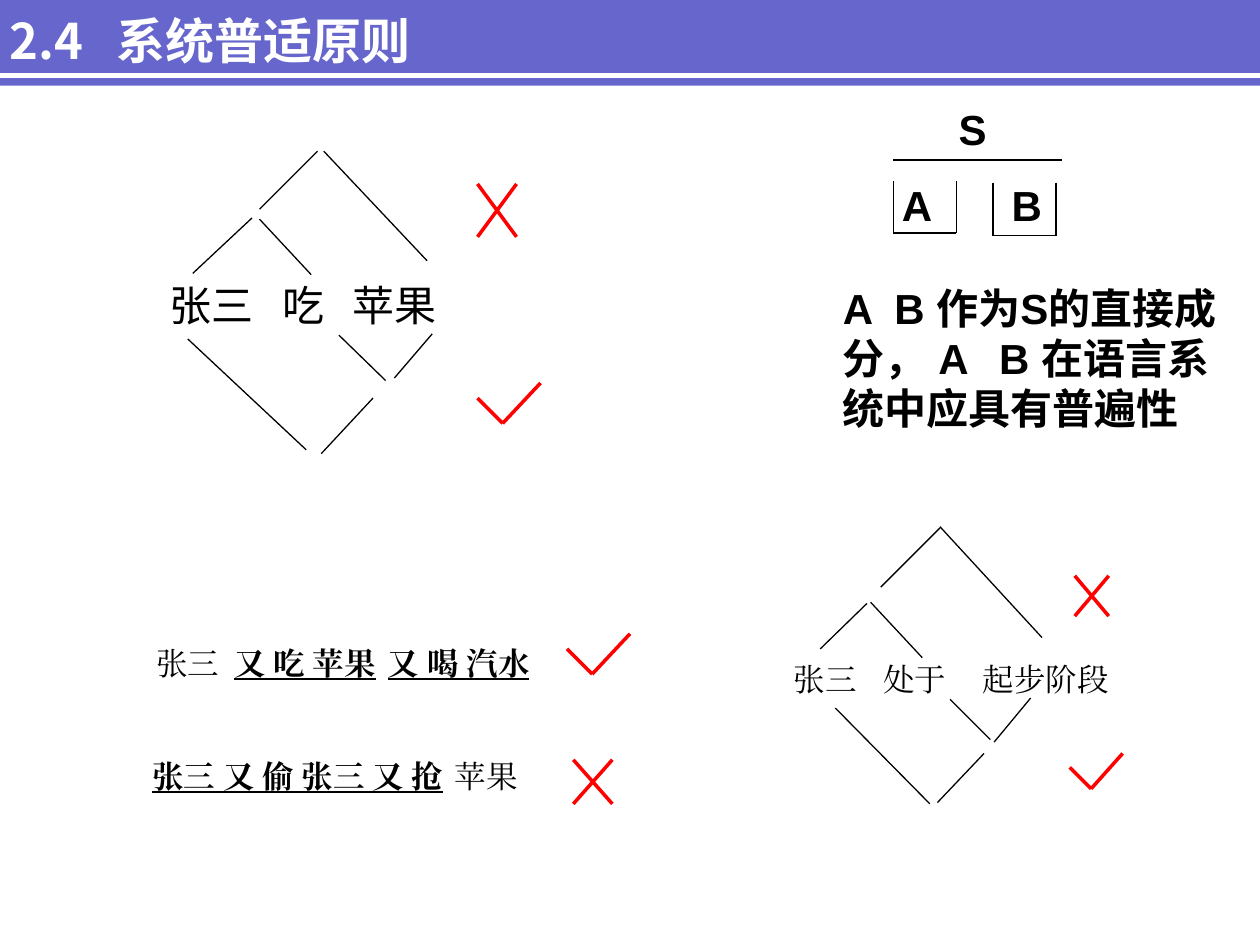
from lxml.etree import SubElement
from pptx import Presentation
from pptx.dml.color import RGBColor
from pptx.enum.shapes import MSO_CONNECTOR, MSO_SHAPE
from pptx.enum.text import MSO_ANCHOR, PP_ALIGN
from pptx.oxml.ns import qn
from pptx.util import Inches, Pt

PURPLE = RGBColor(0x66, 0x66, 0xCC)
WHITE = RGBColor(0xFF, 0xFF, 0xFF)
BLACK = RGBColor(0, 0, 0)
RED = RGBColor(0xFF, 0, 0)
SANS, SERIF, CJK = "Arial", "Times New Roman", "Noto Sans CJK SC"

EATING_TREE = [
    (1.53, 2.17, 2, 1.73), (2.06, 1.74, 2.47, 2.18),
    (2.06, 1.66, 2.52, 1.2), (2.57, 1.2, 3.39, 2.07),
    (3.13, 3, 3.43, 2.65), (1.49, 2.69, 2.43, 3.57),
    (2.55, 3.6, 2.96, 3.16), (2.69, 2.66, 3.06, 3.02),
]
STAGE_TREE = [
    (6.51, 5.15, 6.88, 4.79), (6.91, 4.78, 7.32, 5.22),
    (6.99, 4.66, 7.46, 4.19), (7.46, 4.18, 8.27, 5.06),
    (7.89, 5.89, 8.18, 5.54), (6.63, 5.62, 7.38, 6.38),
    (7.44, 6.37, 7.81, 5.98), (7.54, 5.55, 7.86, 5.87),
]


class Board:
    """Holds the style and the slide being filled."""

    def __init__(self, slide):
        self.s = slide

    def band(self, x, y, w, h):
        sp = self.s.shapes.add_shape(
            MSO_SHAPE.RECTANGLE, Inches(x), Inches(y), Inches(w), Inches(h))
        sp.shadow.inherit = False
        sp.fill.solid()
        sp.fill.fore_color.rgb = PURPLE
        sp.line.fill.background()

    def line(self, x1, y1, x2, y2, color=BLACK, width=0.75, shapes=None):
        shapes = self.s.shapes if shapes is None else shapes
        cn = shapes.add_connector(MSO_CONNECTOR.STRAIGHT, Inches(x1), Inches(y1),
                                  Inches(x2), Inches(y2))
        cn.line.color.rgb = color
        cn.line.width = Pt(width)
        SubElement(cn._element.spPr, qn("a:effectLst"))

    def group(self, lines, color, width):
        shapes = self.s.shapes.add_group_shape().shapes
        for ends in lines:
            self.line(*ends, color, width, shapes)

    def tree(self, branches):
        for ends in branches:
            self.line(*ends)

    def bracket(self, x, y, w, h):
        """Draw a box that is open at the top."""
        r, b = x + w, y + h
        self.group([(x, y, x, b), (x, b, r, b), (r, y, r, b)], BLACK, 0.75)

    def cross(self, x, y, w, h):
        r, b = x + w, y + h
        self.group([(x, y, r, b), (r, y, x, b)], RED, 2)

    def tick(self, x, y, dip=0.2, rise_w=0.3, rise_h=0.32):
        foot_x, foot_y = x + dip, y + dip
        self.group([(x, y, foot_x, foot_y),
                    (foot_x + rise_w, foot_y - rise_h, foot_x, foot_y)], RED, 2)

    def text(self, x, y, w, h, paragraphs, size, font, color=BLACK, stops=(),
             stop_align="l"):
        """Each paragraph is a list of (text, bold, underline) runs."""
        tf = self.s.shapes.add_textbox(
            Inches(x), Inches(y), Inches(w), Inches(h)).text_frame
        tf.word_wrap = True
        for i, runs in enumerate(paragraphs):
            p = tf.add_paragraph() if i else tf.paragraphs[0]
            if stops:
                tabs = SubElement(p._p.get_or_add_pPr(), qn("a:tabLst"))
                for stop in stops:
                    SubElement(tabs, qn("a:tab"), pos=str(Inches(stop)), algn=stop_align)
            if i:
                p.space_before = Pt(15)
            for words, bold, underline in runs:
                r = p.add_run()
                r.text = words
                r.font.size = Pt(size)
                r.font.bold = bold
                r.font.underline = underline
                r.font.color.rgb = color
                r.font.name = font
                SubElement(r._r.get_or_add_rPr(), qn("a:ea"), typeface=font)
        return tf


def main():
    prs = Presentation()
    prs.slide_width, prs.slide_height = Inches(10), Inches(7.5)
    board = Board(prs.slides.add_slide(prs.slide_layouts[6]))

    board.band(-0.04, -0.03, 10.04, 0.71)
    board.line(-0.04, 0.6, 10, 0.6, WHITE, 3)
    title = board.text(-0.02, 0.03, 8.57, 0.57, [[("2.4\t系统普适原则", True, False)]],
                       28, CJK, WHITE, stops=(0.85,))
    title.vertical_anchor = MSO_ANCHOR.MIDDLE

    rule = board.text(6.26, 0.77, 2.92, 1.11,
                      [[("S", True, False)], [("\tA\tB", True, False)]],
                      24, SANS, stops=(0.92, 1.79), stop_align="ctr")
    rule.paragraphs[0].alignment = PP_ALIGN.CENTER
    board.line(7.09, 1.27, 8.43, 1.27)
    board.bracket(7.09, 1.44, 0.5, 0.41)
    board.bracket(7.88, 1.45, 0.5, 0.42)
    board.text(6.59, 2.19, 3.41, 1.3,
               [[("A\tB 作为S的直接成分， A\tB 在语言系统中应具有普遍性", True, False)]],
               24, SANS, stops=(0.41, 1.24))

    board.text(1.25, 2.17, 2.75, 0.5, [[("张三\t吃\t苹果", False, False)]],
               24, SANS, stops=(0.89, 1.45))
    board.tree(EATING_TREE)
    board.cross(3.79, 1.46, 0.31, 0.42)
    board.tick(3.79, 3.16)

    board.text(1.14, 5.06, 3.55, 0.4,
               [[("张三\t", False, False), ("又 吃 苹果\t又 喝 汽水", True, True)]],
               18, SERIF, stops=(0.62, 1.84))
    board.tick(4.5, 5.15)
    board.text(1.11, 5.96, 3.34, 0.4,
               [[("张三 又 偷 张三 又 抢\t", True, True), ("苹果", False, False)]],
               18, SERIF, stops=(2.4,))
    board.cross(4.55, 6.03, 0.31, 0.35)

    board.text(6.2, 5.19, 3.01, 0.4, [[("张三\t处于\t起步阶段", False, False)]],
               18, SERIF, stops=(0.71, 1.5))
    board.tree(STAGE_TREE)
    board.cross(8.53, 4.57, 0.27, 0.32)
    board.tick(8.49, 6.09, dip=0.17, rise_w=0.25, rise_h=0.28)

    prs.save("out.pptx")


if __name__ == "__main__":
    main()
